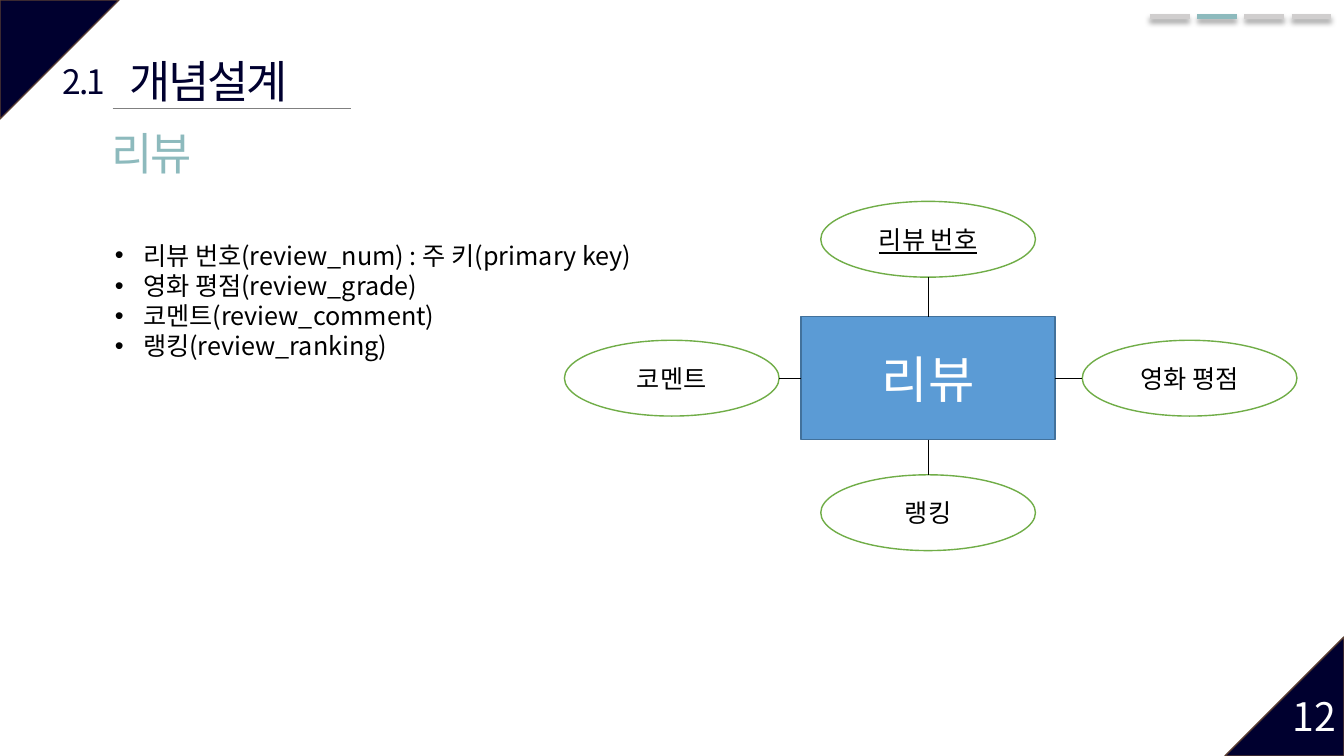
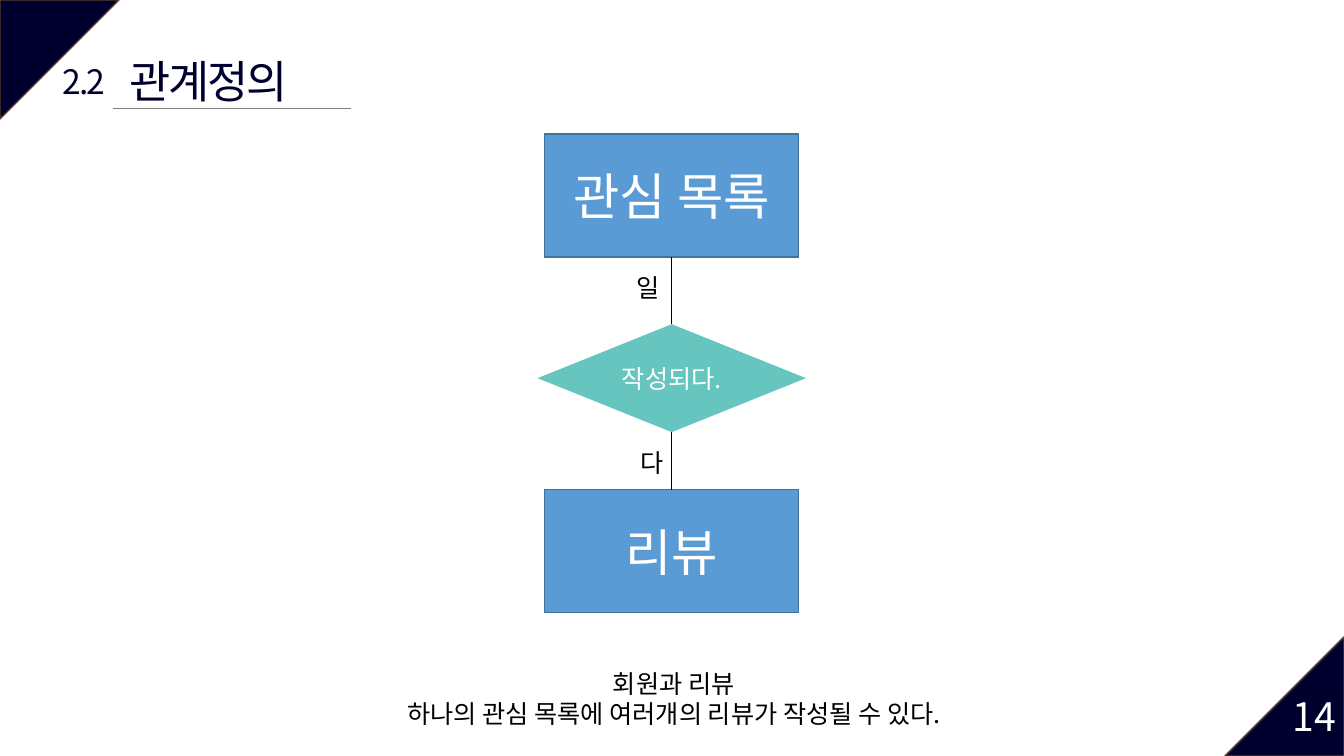
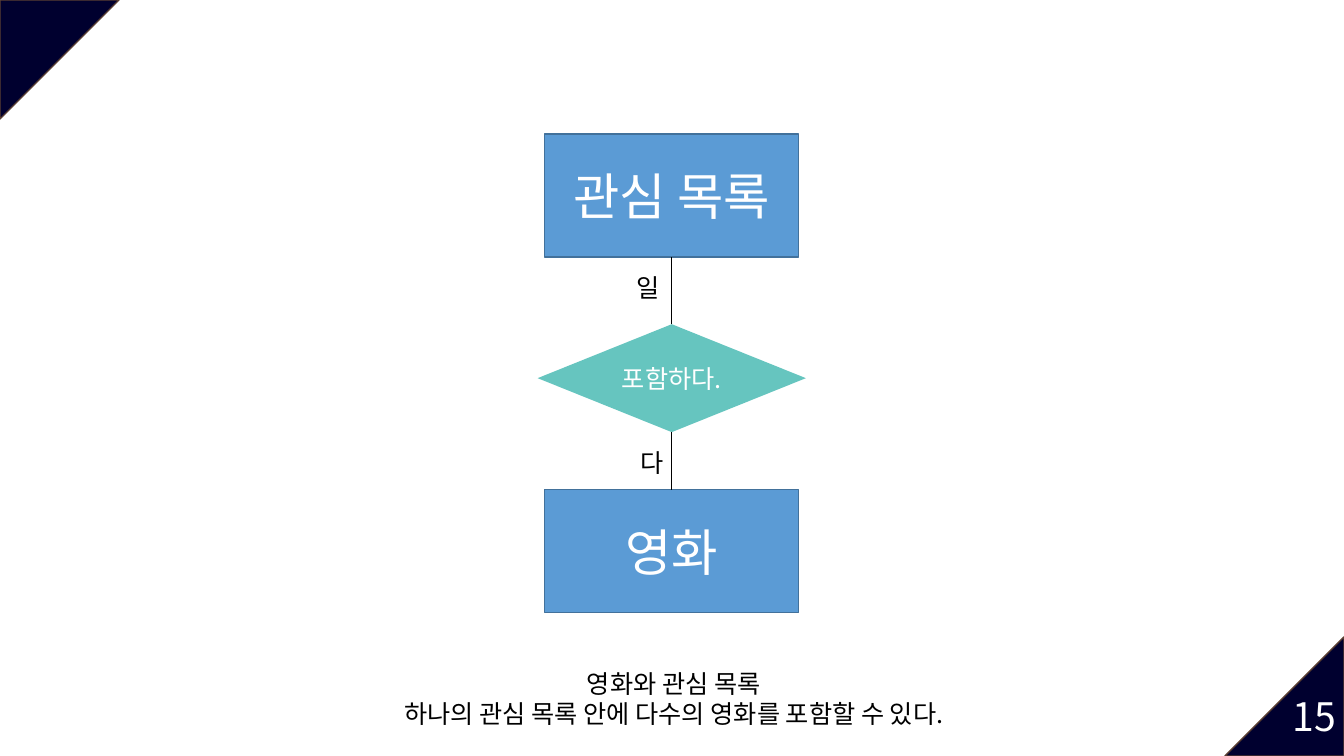
from lxml import etree
from pptx import Presentation
from pptx.dml.color import RGBColor
from pptx.enum.shapes import MSO_CONNECTOR, MSO_SHAPE
from pptx.enum.text import MSO_ANCHOR, MSO_AUTO_SIZE, PP_ALIGN
from pptx.oxml.ns import qn
from pptx.util import Cm, Pt

STRAIGHT = MSO_CONNECTOR.STRAIGHT
RECT, OVAL = MSO_SHAPE.RECTANGLE, MSO_SHAPE.OVAL
DECISION, CORNER = MSO_SHAPE.FLOWCHART_DECISION, MSO_SHAPE.RIGHT_TRIANGLE
TOP, MIDDLE = MSO_ANCHOR.TOP, MSO_ANCHOR.MIDDLE
LEFT, CENTER = PP_ALIGN.LEFT, PP_ALIGN.CENTER
SITE_TOP, SITE_LEFT, SITE_BOTTOM, SITE_RIGHT = range(4)

NAVY = RGBColor(0x00, 0x00, 0x2F)
BROWN = RGBColor(0x5B, 0x3F, 0x33)
SAGE = RGBColor(0x8D, 0xBA, 0xBD)
TEAL = RGBColor(0x66, 0xC5, 0xBF)
BLUE = RGBColor(0x5B, 0x9B, 0xD5)
DARK_BLUE = RGBColor(0x42, 0x71, 0x9B)
GREEN = RGBColor(0x70, 0xAD, 0x47)
SILVER = RGBColor(0xD0, 0xCE, 0xCE)
GRAY = RGBColor(0x80, 0x80, 0x80)
BLACK = RGBColor(0x00, 0x00, 0x00)
WHITE = RGBColor(0xFF, 0xFF, 0xFF)

FONT = "Noto Sans CJK KR"
SLIDE_W, SLIDE_H = 33.87, 19.05
MID_X, MID_Y = 16.93, 9.53
ENTITY_W, ENTITY_H = 6.4, 3.1
OVAL_W, OVAL_H = 5.41, 1.91

HEADING = {"size": Pt(32)}
NUMBER = {"size": Pt(24)}
ENTITY = {"size": Pt(36)}
PAGE = {"size": Pt(28)}
BODY = {"size": Pt(18)}
KEY = {"size": Pt(18), "underline": True}


def write(tf, lines, fmt, color, align=LEFT, anchor=TOP, wrap=True, spacing=None):
    frame = {"word_wrap": wrap, "auto_size": MSO_AUTO_SIZE.NONE, "vertical_anchor": anchor}
    for name, value in frame.items():
        setattr(tf, name, value)
    for i, line in enumerate(lines):
        p = tf.paragraphs[0] if i == 0 else tf.add_paragraph()
        p.alignment = align
        p.space_before = Pt(0)
        r = p.add_run()
        r.text = line
        for name, value in {"name": FONT, **fmt}.items():
            setattr(r.font, name, value)
        r.font.color.rgb = color
        rPr = r.font._element
        etree.SubElement(rPr, qn("a:ea"), typeface=FONT)
        if spacing is not None:
            rPr.set("spc", str(round(spacing * 100)))


def place(sp, left, top, width, height):
    box = {"left": left, "top": top, "width": width, "height": height}
    for name, value in box.items():
        setattr(sp, name, Cm(value))


def add_text(s, box, lines, fmt, color, **options):
    sp = s.shapes.add_textbox(*map(Cm, box))
    write(sp.text_frame, lines, fmt, color, **options)


def add_node(s, kind, x, y, width, height, fill, line=None):
    """Add a filled shape centred on (x, y)."""
    sp = s.shapes.add_shape(kind, Cm(x - width / 2), Cm(y - height / 2), Cm(width), Cm(height))
    sp.shadow.inherit = False
    sp.fill.solid()
    sp.fill.fore_color.rgb = fill
    if line is None:
        sp.line.fill.background()
    else:
        sp.line.color.rgb = line
        sp.line.width = Pt(1)
    return sp


def add_entity(s, x, y, text):
    sp = add_node(s, RECT, x, y, ENTITY_W, ENTITY_H, BLUE, DARK_BLUE)
    write(sp.text_frame, [text], ENTITY, WHITE, align=CENTER, anchor=MIDDLE)
    return sp


def add_line(s, x1, y1, x2, y2, color=BLACK, width=0.5):
    """Add a straight line and return it with its empty effect list."""
    line = s.shapes.add_connector(STRAIGHT, Cm(x1), Cm(y1), Cm(x2), Cm(y2))
    line.line.color.rgb = color
    line.line.width = Pt(width)
    effects = etree.SubElement(line.element.spPr, qn("a:effectLst"))
    return line, effects


def add_corners(prs, s):
    """Put the two corner triangles on the slide master, behind everything."""
    side = 3
    corners = [(side / 2, side / 2, 90), (SLIDE_W - side / 2, SLIDE_H - side / 2, 270)]
    for i, (x, y, angle) in enumerate(corners):
        sp = add_node(s, CORNER, x, y, side, side, NAVY, BROWN)
        sp.rotation = angle
        sp.element.xpath("./p:nvSpPr/p:cNvPr")[0].set("id", str(100 + i))
        prs.slide_master.shapes.element.insert(2 + i, sp.element)


def add_heading(s, number, title):
    add_line(s, 2.84, 2.74, 8.84, 2.74, GRAY)
    sp = s.shapes.title
    place(sp, 2.87, 1.22, 4.78, 1.57)
    style = {"align": CENTER, "wrap": False, "spacing": -1.5}
    write(sp.text_frame, [title], HEADING, NAVY, **style)
    add_text(s, (1.3, 1.4, 1.63, 1.24), [number], NUMBER, NAVY, **style)


def add_page_number(s, number):
    add_text(s, (32.33, 17.32, 2.21, 1.45), [str(number)], PAGE, WHITE)


def add_progress(s, current, count=4):
    """Add the section bars at top right, with the current one coloured."""
    for i in range(count):
        x = 28.98 + i * 1.19
        _, effects = add_line(s, x, 0.41, x + 1, 0.41, SAGE if i == current else SILVER, 3.5)
        shadow = etree.SubElement(effects, qn("a:outerShdw"), blurRad=str(Pt(4)),
                                  dist=str(Pt(3)), dir="5400000", algn="t", rotWithShape="0")
        clr = etree.SubElement(shadow, qn("a:srgbClr"), val=str(BLACK))
        etree.SubElement(clr, qn("a:alpha"), val="40000")


def add_bullets(sp, lines):
    place(sp, 2.64, 5.92, 14.78, 3.33)
    for i in range(len(lines)):
        p = sp.text_frame.paragraphs[0] if i == 0 else sp.text_frame.add_paragraph()
        p.space_before = Pt(0)
    write_bullets(sp.text_frame, lines)


def write_bullets(tf, lines):
    tf.clear()
    write(tf, lines, BODY, BLACK)
    for p in tf.paragraphs:
        pPr = p._p.get_or_add_pPr()
        pPr.set("marL", str(Cm(0.71)))
        pPr.set("indent", str(-Cm(0.71)))
        etree.SubElement(pPr, qn("a:buFont"), typeface="Arial")
        etree.SubElement(pPr, qn("a:buChar"), char="•")


def add_entity_diagram(s, x, y, name, attributes):
    """Draw an entity joined to (text, format, x, y, side) attributes."""
    entity = add_entity(s, x, y, name)
    inner_edge = {SITE_TOP: (0, OVAL_H / 2), SITE_LEFT: (OVAL_W / 2, 0),
                  SITE_BOTTOM: (0, -OVAL_H / 2), SITE_RIGHT: (-OVAL_W / 2, 0)}
    for text, fmt, ox, oy, side in attributes:
        sp = add_node(s, OVAL, ox, oy, OVAL_W, OVAL_H, WHITE, GREEN)
        write(sp.text_frame, [text], fmt, BLACK, align=CENTER, anchor=MIDDLE)
        dx, dy = inner_edge[side]
        line, _ = add_line(s, x, y, ox + dx, oy + dy)
        line.begin_connect(entity, side)


def add_relation_diagram(s, upper, verb, lower, caption):
    top = add_entity(s, MID_X, 4.93, upper)
    relation = add_node(s, DECISION, MID_X, MID_Y, 6.76, 2.72, TEAL)
    write(relation.text_frame, [verb], BODY, WHITE, align=CENTER, anchor=MIDDLE)
    bottom = add_entity(s, MID_X, 13.89, lower)
    for start, end in ((top, relation), (relation, bottom)):
        line, _ = add_line(s, MID_X, MID_Y, MID_X, MID_Y)
        line.begin_connect(start, SITE_BOTTOM)
        line.end_connect(end, SITE_TOP)
    for text, x, y in (("일", 15.8, 6.73), ("다", 15.9, 11.15)):
        add_text(s, (x, y, 0.66, 1), [text], BODY, BLACK)
    add_text(s, (7.24, 16.71, 19.48, 1.8), caption, BODY, BLACK, align=CENTER)


def main():
    prs = Presentation()
    prs.slide_width, prs.slide_height = Cm(SLIDE_W), Cm(SLIDE_H)
    content, title_only, blank = (prs.slide_layouts[i] for i in (1, 5, 6))

    s = prs.slides.add_slide(content)
    add_corners(prs, s)
    add_progress(s, 1)
    add_heading(s, "2.1", "개념설계")
    add_text(s, (2.57, 3.05, 3.73, 1.6), ["리뷰"], HEADING, SAGE, spacing=-1.5)
    body = s.placeholders[1]
    place(body, 2.64, 5.92, 14.78, 3.33)
    write_bullets(body.text_frame, [
        "리뷰 번호(review_num) : 주 키(primary key)",
        "영화 평점(review_grade)",
        "코멘트(review_comment)",
        "랭킹(review_ranking)",
    ])
    x = 23.39
    add_entity_diagram(s, x, MID_Y, "리뷰", [
        ("리뷰 번호", KEY, x, 6.03, SITE_TOP),
        ("영화 평점", BODY, 29.98, MID_Y, SITE_RIGHT),
        ("랭킹", BODY, x, 12.92, SITE_BOTTOM),
        ("코멘트", BODY, MID_X, MID_Y, SITE_LEFT),
    ])
    add_page_number(s, 12)

    s = prs.slides.add_slide(title_only)
    add_heading(s, "2.2", "관계정의")
    add_relation_diagram(s, "관심 목록", "작성되다.", "리뷰", [
        "회원과 리뷰", "하나의 관심 목록에 여러개의 리뷰가 작성될 수 있다."])
    add_page_number(s, 14)

    s = prs.slides.add_slide(blank)
    add_relation_diagram(s, "관심 목록", "포함하다.", "영화", [
        "영화와 관심 목록", "하나의 관심 목록 안에 다수의 영화를 포함할 수 있다."])
    add_page_number(s, 15)

    prs.save("out.pptx")


if __name__ == "__main__":
    main()
